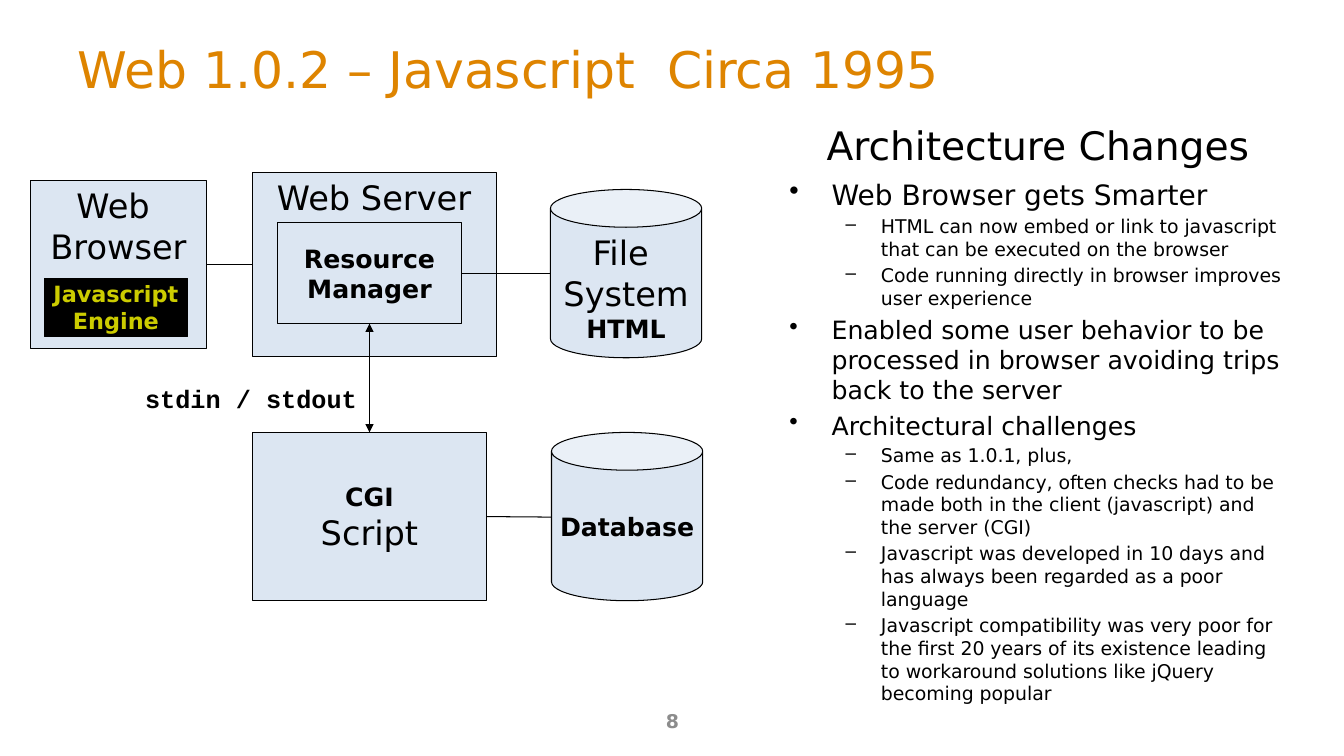
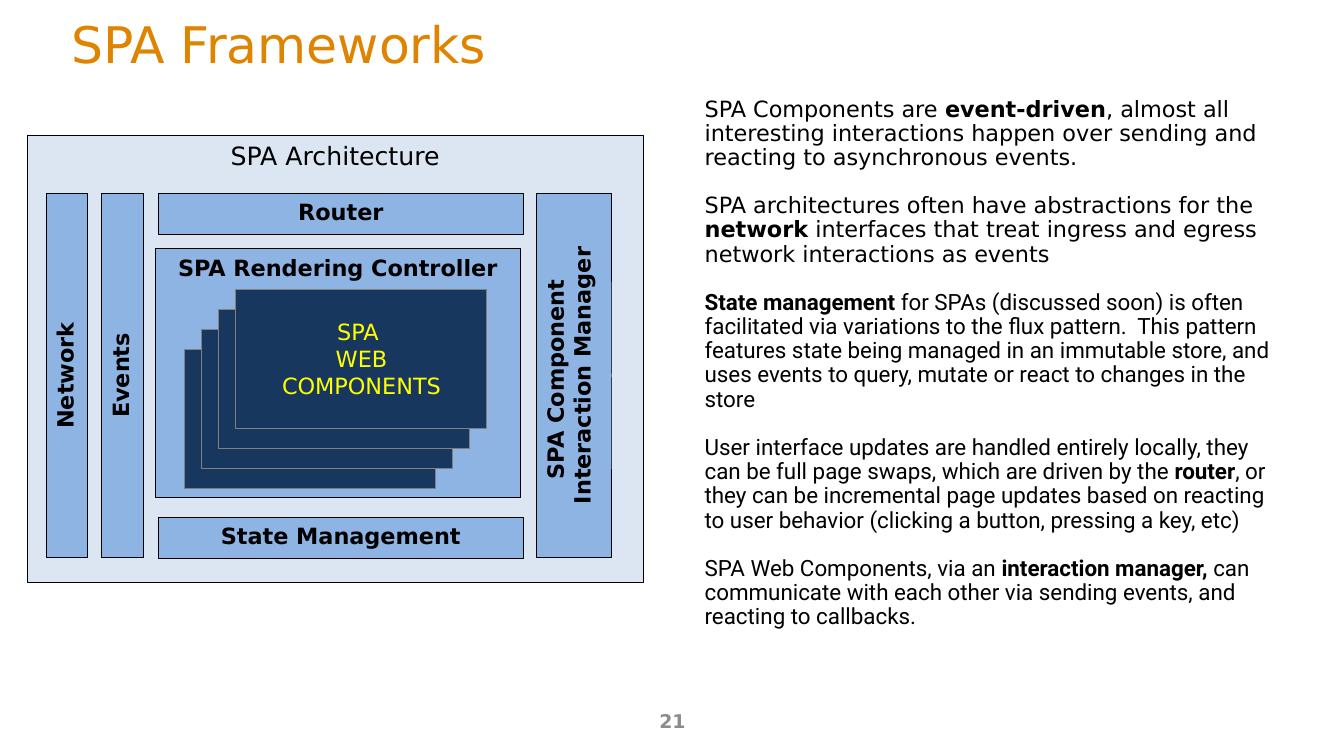
import pptx
import pptx.dml.color
import pptx.enum.dml
import pptx.enum.shapes
import pptx.enum.text
import pptx.oxml
import pptx.oxml.ns
import pptx.util
from lxml import etree

Inches = pptx.util.Inches
Pt = pptx.util.Pt
ALIGN = pptx.enum.text.PP_ALIGN
ANCHOR = pptx.enum.text.MSO_ANCHOR
SHAPE = pptx.enum.shapes.MSO_SHAPE
TOP, LEFT, BOTTOM, RIGHT = range(4)


def color(value):
    return pptx.dml.color.RGBColor.from_string(value)


def add_xml(parent, tag, **attributes):
    return etree.SubElement(parent, pptx.oxml.ns.qn(tag), attributes)


class Slides:
    FONT = "DejaVu Sans"
    BLACK = "000000"
    ORANGE = "DE8400"
    GRAY = "8C8C8C"
    PALE = "DCE6F2"
    BLUE = "8EB4E3"
    NAVY = "17375E"
    LEVELS = (("•", 0.42, -0.42), ("–", 0.91, -0.35))

    def __init__(self):
        self.deck = pptx.Presentation()
        self.deck.slide_width = Inches(13.33)
        self.deck.slide_height = Inches(7.5)
        self.page = None

    def new_page(self, title, number, left, top):
        self.page = self.deck.slides.add_slide(self.deck.slide_layouts[6])
        frame = self.frame(left, top, 12, 0.76, ANCHOR.MIDDLE)
        self.set_text(frame.paragraphs[0], title, 36, self.ORANGE)
        frame = self.frame(4.56, 6.95, 4.22, 0.4, ANCHOR.MIDDLE)
        frame.paragraphs[0].alignment = ALIGN.CENTER
        self.set_text(frame.paragraphs[0], str(number), 13.5, self.GRAY, bold=True)

    def frame(self, left, top, width, height, anchor=ANCHOR.TOP, wrap=True):
        box = self.page.shapes.add_textbox(
            Inches(left), Inches(top), Inches(width), Inches(height))
        box.text_frame.word_wrap = wrap
        box.text_frame.vertical_anchor = anchor
        return box.text_frame

    def set_text(self, para, text, size, ink=BLACK, bold=False, font=FONT):
        para.font.name = font
        para.font.size = Pt(size)
        para.font.color.rgb = color(ink)
        pieces = text.split("**")
        if len(pieces) == 1:
            para.font.bold = bold
        for index, piece in enumerate(pieces):
            if piece:
                span = para.add_run()
                span.text = piece
                if len(pieces) > 1:
                    span.font.bold = index % 2 == 1

    def paragraphs(self, frame, items):
        for index, item in enumerate(items):
            para = frame.add_paragraph() if index else frame.paragraphs[0]
            yield index, para, item

    def label(self, text, left, top, width, height, size, bold=False, font=FONT):
        frame = self.frame(left, top, width, height, wrap=False)
        frame.paragraphs[0].line_spacing = 0.9
        self.set_text(frame.paragraphs[0], text, size, bold=bold, font=font)

    def block(self, lines, left, top, width, height, fill=PALE, ink=BLACK,
              anchor=ANCHOR.MIDDLE, outline=BLACK, kind=SHAPE.RECTANGLE):
        shape = self.page.shapes.add_shape(
            kind, Inches(left), Inches(top), Inches(width), Inches(height))
        shape.shadow.inherit = False
        shape.fill.solid()
        shape.fill.fore_color.rgb = color(fill)
        shape.line.color.rgb = color(outline)
        shape.line.width = Pt(0.75)
        frame = shape.text_frame
        frame.word_wrap = False
        frame.vertical_anchor = anchor
        for _, para, (text, size, bold) in self.paragraphs(frame, lines):
            para.alignment = ALIGN.CENTER
            self.set_text(para, text, size, ink, bold)
        return shape

    def bar(self, lines, left, top, width, height):
        return self.block([(text, 16, True) for text in lines], left, top,
                          width, height, self.BLUE, anchor=ANCHOR.TOP)

    def upright_bar(self, lines, left, top, width, height):
        shift = (height - width) / 2
        shape = self.bar(lines, left - shift, top + shift, height, width)
        shape.rotation = 270

    def connect(self, start, end, first=None, last=None, arrows=False):
        line = self.page.shapes.add_connector(
            pptx.enum.shapes.MSO_CONNECTOR.STRAIGHT,
            *(Inches(value) for value in start + end))
        if first:
            line.begin_connect(*first)
        if last:
            line.end_connect(*last)
        line.line.color.rgb = color(self.BLACK)
        line.line.width = Pt(0.75)
        if arrows:
            outline = line.line._get_or_add_ln()
            for tag in ("a:headEnd", "a:tailEnd"):
                add_xml(outline, tag, type="triangle")
        add_xml(line._element.spPr, "a:effectLst")

    def bullets(self, items, left, top, width, height):
        frame = self.frame(left, top, width, height)
        for index, para, (level, size, text) in self.paragraphs(frame, items):
            mark, margin, indent = self.LEVELS[level]
            para.level = level
            if index:
                para.space_before = Pt(size * 0.2)
            properties = para._p.get_or_add_pPr()
            properties.set("marL", str(Inches(margin)))
            properties.set("indent", str(Inches(indent)))
            add_xml(properties, "a:buChar", char=mark)
            self.set_text(para, text, size)

    def prose(self, items, left, top, width, height, size):
        frame = self.frame(left, top, width, height)
        for index, para, (font, text) in self.paragraphs(frame, items):
            para.line_spacing = 0.9
            if index:
                para.space_before = Pt(17.3)
            self.set_text(para, text, size, font=font)


def javascript_page(slides):
    slides.new_page("Web 1.0.2 – Javascript  Circa 1995", 8, 0.67, 0.3)
    browser = slides.block([("Web ", 24, False), ("Browser", 24, False)],
                           0.3, 1.79, 1.75, 1.67, anchor=ANCHOR.TOP)
    slides.block([("Javascript", 16, True), ("Engine", 16, True)],
                 0.44, 2.76, 1.42, 0.58, slides.BLACK, "CCCC00")
    server = slides.block([("Web Server", 24, False)],
                          2.5, 1.71, 2.42, 1.83, anchor=ANCHOR.TOP)
    manager = slides.block([("Resource", 18, True), ("Manager", 18, True)],
                           2.75, 2.21, 1.83, 1)
    script = slides.block([("CGI", 18, True), ("Script", 24, False)],
                          2.5, 4.29, 2.33, 1.67)
    slides.block([("File ", 24, False), ("System", 24, False), ("HTML", 18, True)],
                 5.46, 1.88, 1.5, 1.67, anchor=ANCHOR.TOP, kind=SHAPE.CAN)
    slides.block([("Database", 18, True)], 5.47, 4.29, 1.5, 1.67, kind=SHAPE.CAN)

    slides.connect((2.05, 2.63), (2.5, 2.63), (browser, RIGHT), (server, LEFT))
    slides.connect((4.58, 2.71), (5.46, 2.71), (manager, RIGHT))
    slides.connect((3.66, 3.21), (3.66, 4.29), (manager, BOTTOM), (script, TOP),
                   arrows=True)
    slides.connect((4.83, 5.13), (5.47, 5.13), (script, RIGHT))

    slides.label("stdin / stdout", 1.34, 3.79, 2.32, 0.4, 18, True, "Courier New")
    slides.label("Architecture Changes", 8.1, 1.21, 4.43, 0.53, 28)
    slides.bullets([
        (0, 20, "Web Browser gets Smarter"),
        (1, 13.5, "HTML can now embed or link to javascript that can be "
                  "executed on the browser"),
        (1, 13.5, "Code running directly in browser improves user experience"),
        (0, 18, "Enabled some user behavior to be processed in browser "
                "avoiding trips back to the server"),
        (0, 18, "Architectural challenges"),
        (1, 13.5, "Same as 1.0.1, plus,"),
        (1, 13.5, "Code redundancy, often checks had to be made both in the "
                  "client (javascript) and the server (CGI)"),
        (1, 13.5, "Javascript was developed in 10 days and has always been "
                  "regarded as a poor language"),
        (1, 13.5, "Javascript compatibility was very poor for the first 20 "
                  "years of its existence leading to workaround solutions "
                  "like jQuery becoming popular"),
    ], 7.73, 1.71, 5.16, 5.45)


def frameworks_page(slides):
    slides.new_page("SPA Frameworks", 21, 0.61, 0.05)
    slides.prose([
        (slides.FONT, "SPA Components are **event-driven**, almost all "
                      "interesting interactions happen over sending and "
                      "reacting to asynchronous events."),
        (slides.FONT, "SPA architectures often have abstractions for the "
                      "**network** interfaces that treat ingress and egress "
                      "network interactions as events"),
        ("Roboto", "**State management **for SPAs (discussed soon) is often "
                   "facilitated via variations to the flux pattern.  This "
                   "pattern features state being managed in an immutable "
                   "store, and uses events to query, mutate or react to "
                   "changes in the store"),
        ("Roboto", "User interface updates are handled entirely locally, they "
                   "can be full page swaps, which are driven by the "
                   "**router**, or they can be incremental page updates based "
                   "on reacting to user behavior (clicking a button, pressing "
                   "a key, etc)"),
        ("Roboto", "SPA Web Components, via an **interaction manager, **can "
                   "communicate with each other via sending events, and "
                   "reacting to callbacks."),
    ], 6.89, 0.92, 5.98, 5.92, 16)

    slides.block([("SPA Architecture", 18, False)], 0.27, 1.34, 6.11, 4.44,
                 anchor=ANCHOR.TOP)
    for text, top in (("Router", 1.92), ("State Management", 5.13)):
        slides.bar([text], 1.57, top, 3.62, 0.41)
    slides.bar(["SPA Rendering Controller"], 1.54, 2.47, 3.62, 2.47)
    for lines, left, width in (
            (["Network"], 0.46, 0.41),
            (["Events"], 1.01, 0.41),
            (["SPA Component ", "Interaction Manager"], 5.32, 0.75)):
        slides.upright_bar(lines, left, 1.92, width, 3.61)
    names = [(text, 16, False) for text in ("SPA ", "WEB", "COMPONENTS")]
    for depth in (3, 2, 1, 0):
        slides.block([] if depth else names, 2.34 - 0.17 * depth,
                     2.87 + 0.2 * depth, 2.49, 1.38, slides.NAVY, "FFFF00",
                     outline="808080")


def main():
    slides = Slides()
    javascript_page(slides)
    frameworks_page(slides)
    slides.deck.save("out.pptx")


if __name__ == "__main__":
    main()
